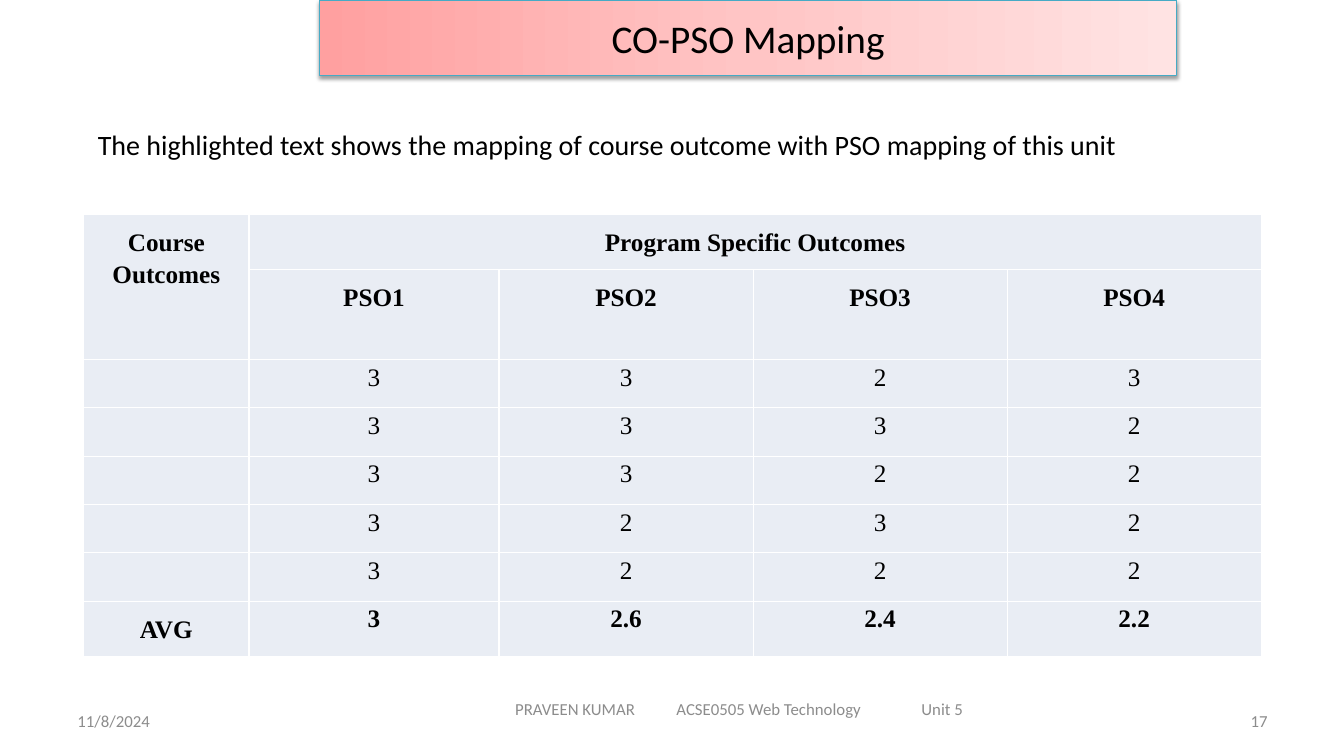
"""Build the CO-PSO mapping slide."""
from dataclasses import dataclass

from lxml.etree import SubElement
from pptx import Presentation
from pptx.dml.color import RGBColor
from pptx.enum.shapes import MSO_SHAPE as SHAPE
from pptx.enum.text import MSO_ANCHOR as ANCHOR, PP_ALIGN as ALIGN
from pptx.oxml import parse_xml
from pptx.oxml.ns import nsdecls, qn
from pptx.util import Inches, Pt


@dataclass(frozen=True)
class Theme:
    sans: str = "Calibri"
    serif: str = "Times New Roman"
    ink: str = "000000"
    muted: str = "8C8C8C"
    cell: str = "E9EDF4"
    border: str = "FFFFFF"
    outline: str = "46AAC5"
    gradient: tuple = ((0, "FFA0A0"), (50, "FFC5C5"), (100, "FFE3E3"))
    title: int = 28
    body: int = 20
    table: int = 18
    footer: int = 12


theme = Theme()


def write(tf, text, size, color=theme.ink, name=theme.sans, bold=False, align=ALIGN.LEFT):
    p = tf.paragraphs[0]
    p.alignment = align
    r = p.add_run()
    r.text = text
    for key, value in dict(size=Pt(size), name=name, bold=bold).items():
        setattr(r.font, key, value)
    r.font.color.rgb = RGBColor.from_string(color)
    return p


def add_text(box, text, size, color, align, anchor, inset=0.1):
    tf = s.shapes.add_textbox(*map(Inches, box)).text_frame
    frame = dict(word_wrap=True, vertical_anchor=anchor, margin_left=Inches(inset))
    for key, value in frame.items():
        setattr(tf, key, value)
    return write(tf, text, size, color, align=align)


prs = Presentation()
prs.slide_width, prs.slide_height = Inches(13.33), Inches(7.5)
s = prs.slides.add_slide(prs.slide_layouts[6])

footers = [
    ((0.67, 6.95, 3.11, 0.4), "11/8/2024", ALIGN.LEFT, 0.1, ()),
    ((4.75, 6.83, 5.17, 0.4), "PRAVEEN KUMAR\tACSE0505 Web Technology\tUnit 5",
     ALIGN.LEFT, 0.36, (1.6, 4.03)),
    ((9.56, 6.95, 3.11, 0.4), "17", ALIGN.RIGHT, 0.1, ()),
]
for box, text, align, inset, tabs in footers:
    p = add_text(box, text, theme.footer, theme.muted, align, ANCHOR.MIDDLE, inset)
    if tabs:
        tab_list = SubElement(p._p.get_or_add_pPr(), qn("a:tabLst"))
        for pos in tabs:
            SubElement(tab_list, qn("a:tab"), pos=str(Inches(pos)), algn="l")

banner = s.shapes.add_shape(SHAPE.RECTANGLE, *map(Inches, (3.17, 0, 8.5, 0.75)))
banner.line.color.rgb = RGBColor.from_string(theme.outline)
banner.line.width = Pt(0.75)
stops = "".join(f'<a:gs pos="{pos * 1000}"><a:srgbClr val="{color}"/></a:gs>'
                for pos, color in theme.gradient)
sp_pr = banner._element.spPr
sp_pr.find(qn("a:prstGeom")).addnext(parse_xml(
    f'<a:gradFill {nsdecls("a")} rotWithShape="1"><a:gsLst>{stops}</a:gsLst>'
    '<a:lin ang="0" scaled="1"/></a:gradFill>'))
sp_pr.append(parse_xml(
    f'<a:effectLst {nsdecls("a")}><a:outerShdw blurRad="{Pt(3.1)}" dist="{Pt(1.6)}" '
    f'dir="5400000" rotWithShape="0"><a:srgbClr val="{theme.ink}">'
    '<a:alpha val="38000"/></a:srgbClr></a:outerShdw></a:effectLst>'))
banner.text_frame.vertical_anchor = ANCHOR.MIDDLE
write(banner.text_frame, "CO-PSO Mapping", theme.title, align=ALIGN.CENTER)

rows = [
    ["Course Outcomes", "Program Specific Outcomes", "", "", ""],
    ["", "PSO1", "PSO2", "PSO3", "PSO4"],
    ["", "3", "3", "2", "3"],
    ["", "3", "3", "3", "2"],
    ["", "3", "3", "2", "2"],
    ["", "3", "2", "3", "2"],
    ["", "3", "2", "2", "2"],
    ["AVG", "3", "2.6", "2.4", "2.2"],
]
widths = [1.64, 2.48] + [2.52] * 3
heights = [0.52, 0.83] + [0.48] * 5 + [0.51]
last = len(rows) - 1
table = s.shapes.add_table(len(rows), len(widths), Inches(0.83), Inches(2.13),
                           Inches(sum(widths)), Inches(sum(heights))).table
table.first_row = table.horz_banding = False
for col, width in zip(table.columns, widths):
    col.width = Inches(width)
for row, height in zip(table.rows, heights):
    row.height = Inches(height)
table.cell(0, 0).merge(table.cell(1, 0))
table.cell(0, 1).merge(table.cell(0, 4))

for i, values in enumerate(rows):
    for j, text in enumerate(values):
        cell = table.cell(i, j)
        for side in ("lnL", "lnR", "lnT", "lnB"):
            cell._tc.get_or_add_tcPr().append(parse_xml(
                f'<a:{side} {nsdecls("a")} w="{Pt(1)}"><a:solidFill>'
                f'<a:srgbClr val="{theme.border}"/></a:solidFill></a:{side}>'))
        cell.fill.solid()
        cell.fill.fore_color.rgb = RGBColor.from_string(theme.cell)
        pad = Inches(0.1 if i < 2 or (i == last and j == 0) else 0)
        margins = dict(margin_left=Inches(0.07), margin_right=Inches(0.07),
                       margin_top=pad, margin_bottom=pad)
        for key, value in margins.items():
            setattr(cell, key, value)
        if text:
            p = write(cell.text_frame, text, theme.table, name=theme.serif,
                      bold=i < 2 or i == last, align=ALIGN.CENTER)
            p.line_spacing = 1.15
            if j == 4 and 2 <= i < last:
                p.space_after = Pt(10)

add_text((0.5, 1.22, 11.67, 0.44),
         "The highlighted text shows the mapping of course outcome with PSO mapping of this unit",
         theme.body, theme.ink, ALIGN.JUSTIFY, ANCHOR.TOP, 0.47)

prs.save("out.pptx")
